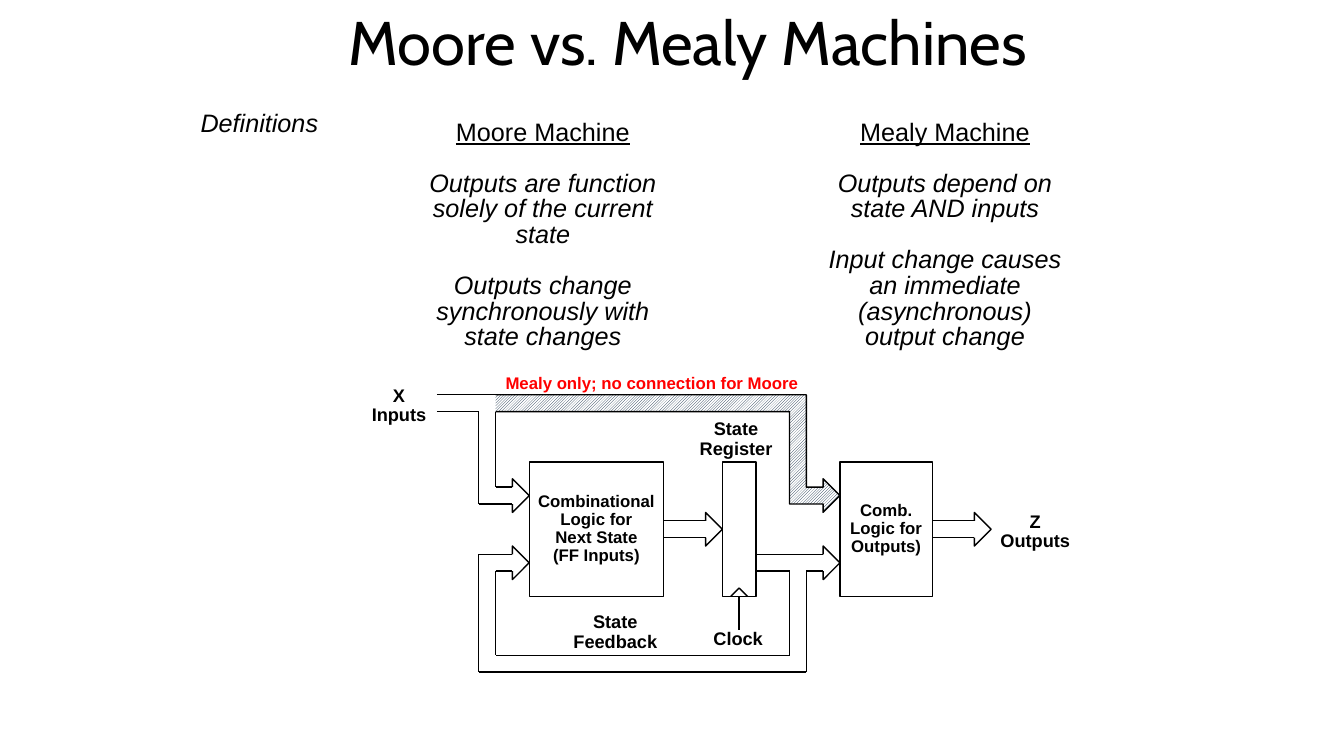
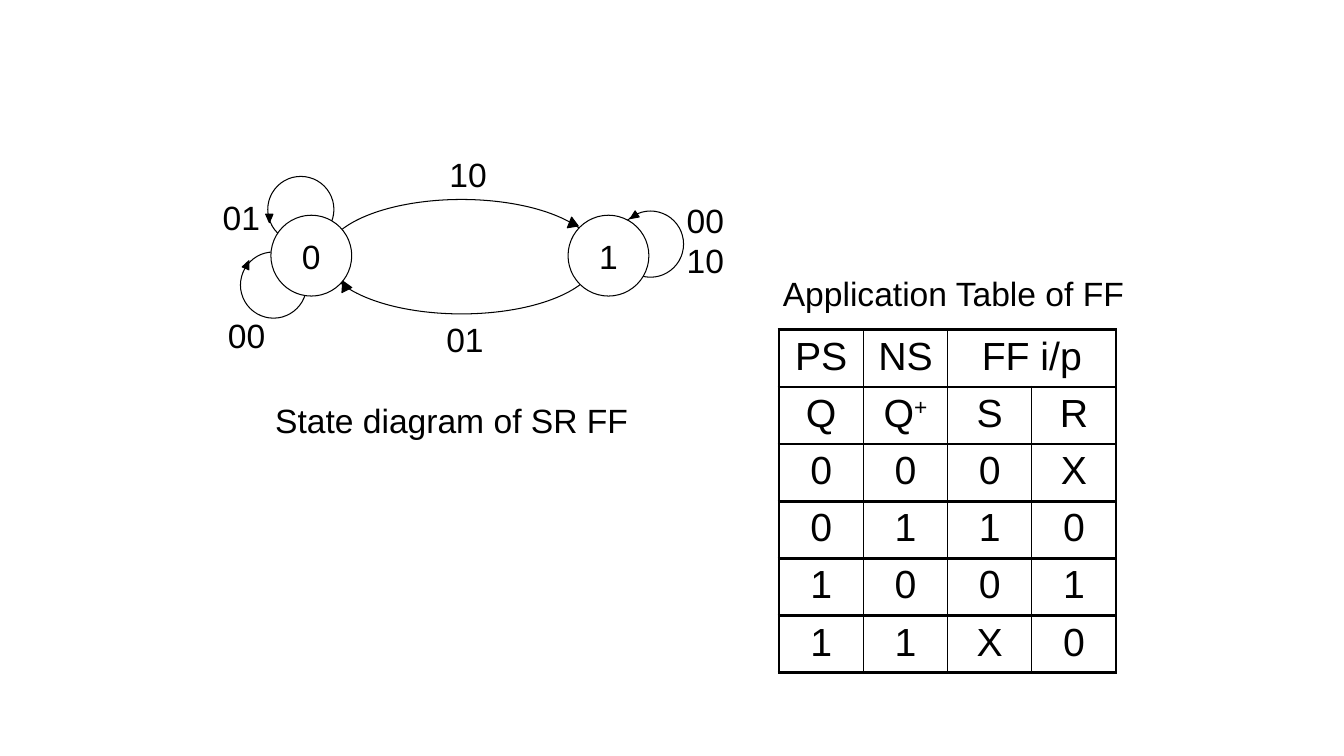
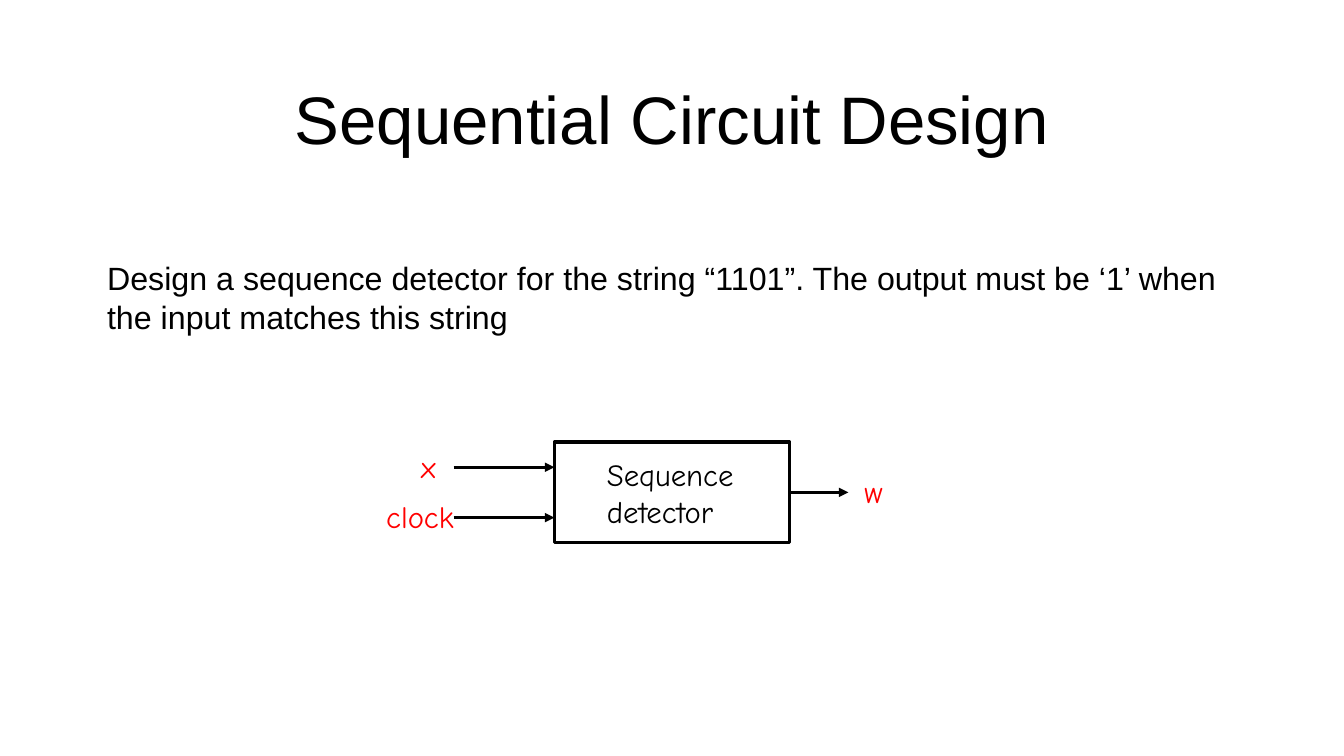
"""Builds three slides on sequential circuits and state machines."""
from itertools import pairwise

from lxml import etree
from pptx import Presentation
from pptx import util as u
from pptx.dml.color import RGBColor
from pptx.enum import dml, shapes, text
from pptx.oxml.ns import qn

PX = 9525
BLACK = RGBColor(0x00, 0x00, 0x00)
WHITE = RGBColor(0xFF, 0xFF, 0xFF)
RED = RGBColor(0xFF, 0x00, 0x00)
NAVY = RGBColor(0x0E, 0x28, 0x41)
BODY, TITLE, HAND = "Arial", "Cabin", "Comic Neue"
LEFT, CENTER = text.PP_ALIGN.LEFT, text.PP_ALIGN.CENTER
TOP, MIDDLE = text.MSO_ANCHOR.TOP, text.MSO_ANCHOR.MIDDLE
KIND = shapes.MSO_SHAPE


def px(*lengths):
    return [u.Emu(n * PX) for n in lengths]


def add_run(p, words, font=BODY, size=18, color=BLACK, bold=False,
            italic=False, underline=False, baseline=0):
    r = p.add_run()
    r.text = words
    f = r.font
    f.name, f.size, f.bold, f.italic = font, u.Pt(size), bold, italic
    f.underline = underline
    f.color.rgb = color
    if baseline:
        r._r.get_or_add_rPr().set("baseline", str(baseline * 1000))


def write(tf, words, align=LEFT, spacing=1.0, before=0, **fmt):
    """Adds one paragraph per line; before is the gap above the first."""
    for i, line in enumerate(words.split("\n")):
        p = tf.paragraphs[-1]
        if p.runs:
            p = tf.add_paragraph()
        p.alignment, p.line_spacing = align, spacing
        p.space_before = u.Pt(0 if i else before)
        add_run(p, line, **fmt)


def set_frame(tf, anchor, inset):
    tf.word_wrap, tf.vertical_anchor = True, anchor
    tf.margin_left = tf.margin_right = px(inset[0])[0]
    tf.margin_top = tf.margin_bottom = px(inset[1])[0]


def add_label(s, box, words, anchor=TOP, inset=(10, 5), **fmt):
    tf = s.shapes.add_textbox(*px(*box)).text_frame
    set_frame(tf, anchor, inset)
    write(tf, words, **fmt)
    return tf


def set_line(sp, width):
    sp.line.color.rgb = BLACK
    sp.line.width = u.Pt(width)


def add_figure(s, kind, box, fill=None, width=1, turn=0, words="", **fmt):
    sp = s.shapes.add_shape(kind, *px(*box))
    sp.shadow.inherit = False
    sp.rotation = turn
    if fill is None:
        sp.fill.background()
    else:
        sp.fill.solid()
        sp.fill.fore_color.rgb = fill
    set_line(sp, width)
    if words:
        set_frame(sp.text_frame, MIDDLE, (0, 0))
        write(sp.text_frame, words, align=CENTER, **fmt)


def add_wire(s, x, y, points, width=1, arrow=False):
    for (x1, y1), (x2, y2) in pairwise(points):
        c = s.shapes.add_connector(shapes.MSO_CONNECTOR.STRAIGHT,
                                   *px(x + x1, y + y1, x + x2, y + y2))
        set_line(c, width)
        etree.SubElement(c._element.spPr, qn("a:effectLst"))
        if arrow:
            etree.SubElement(c.line._get_or_add_ln(), qn("a:tailEnd"), type="triangle")


def add_outline(s, x, y, points):
    (x0, y0), *rest = [(x + dx, y + dy) for dx, dy in points]
    fb = s.shapes.build_freeform(x0, y0, scale=PX)
    fb.add_line_segments(rest, close=False)
    sp = fb.convert_to_shape()
    sp.shadow.inherit = False
    sp.fill.background()
    set_line(sp, 1)
    return sp


def add_definition(s, box, heading, *rules):
    fmt = dict(align=CENTER, spacing=0.85)
    tf = add_label(s, box, heading, inset=(7, 3), underline=True, **fmt)
    for rule in rules:
        write(tf, rule, before=18, italic=True, **fmt)


def add_machine(s, x, y):
    """Draws the block diagram of a state machine."""
    bold = dict(bold=True, spacing=0.9)
    for cx, top, words in ((349, 48, "State\nRegister"), (351, 248, "Clock"),
                           (234, 232, "State\nFeedback"), (28, 16, "X\nInputs"),
                           (634, 136, "Z\nOutputs")):
        add_label(s, (x + cx - 48, y + top, 96, 38), words, inset=(0, 0),
                  align=CENTER, size=13, **bold)
    for left, width, words in (
            (152, 128, "Combinational\nLogic for\nNext State\n(FF Inputs)"),
            (336, 32, ""), (448, 88, "Comb.\nLogic for\nOutputs)")):
        add_figure(s, KIND.RECTANGLE, (x + left, y + 88, width, 128),
                   words=words, size=12, **bold)
    for tip in ((152, 120), (152, 184), (336, 152), (448, 184), (592, 152)):
        add_outline(s, x + tip[0], y + tip[1],
                    [(-16, 8), (-16, 16), (0, 0), (-16, -16), (-16, -8)])
    for points in (
            [(344, 216), (352, 208), (360, 216)],
            [(352, 216), (352, 248)],
            [(280, 144), (320, 144)], [(280, 160), (320, 160)],
            [(536, 144), (576, 144)], [(536, 160), (576, 160)],
            [(368, 176), (432, 176)],
            [(432, 192), (416, 192), (416, 288), (104, 288), (104, 176), (136, 176)],
            [(368, 192), (400, 192), (400, 272), (120, 272), (120, 192), (136, 192)],
            [(64, 24), (120, 24)],
            [(64, 40), (104, 40), (104, 128), (136, 128)],
            [(120, 40), (120, 112), (136, 112)]):
        add_wire(s, x, y, points)
    bypass = add_outline(s, x, y, [
        (120, 24), (416, 24), (416, 112), (432, 112), (432, 104), (448, 120),
        (432, 136), (432, 128), (400, 128), (400, 40), (120, 40)])
    bypass.fill.patterned()
    bypass.fill.pattern = dml.MSO_PATTERN.LIGHT_UPWARD_DIAGONAL
    bypass.fill.fore_color.rgb, bypass.fill.back_color.rgb = NAVY, WHITE
    add_label(s, (x + 109, y, 320, 27), "Mealy only; no connection for Moore",
              MIDDLE, align=CENTER, size=12, color=RED, **bold)


def add_state_diagram(s, x, y):
    """Draws the two states, their transitions and the caption."""
    thin = dict(width=0.75)
    for left, top, w, h in ((29, 100, 63, 63), (55, 28, 63, 63),
                            (388, 61, 63, 63), (110, 50, 259, 109)):
        add_figure(s, KIND.OVAL, (x + left, y + top, w, h), WHITE, **thin)
    for left, name in ((58, "0"), (341, "1")):
        add_figure(s, KIND.OVAL, (x + left, y + 65, 77, 77), WHITE,
                   words=name, size=24, **thin)
    for left, top, w, h, turn in ((400, 62, 7, 8, 236), (53, 64, 7, 8, 180),
                                  (32, 108, 7, 8, 23.6), (341, 69, 11, 9, 112.1),
                                  (125, 129, 11, 9, 94.1)):
        add_figure(s, KIND.ISOSCELES_TRIANGLE, (x + left, y + top, w, h),
                   BLACK, turn=turn, **thin)
    for left, top, w, h, words in (
            (2, 43, 59, 48, "01"), (7, 155, 59, 48, "00"),
            (218, 2, 59, 48, "10"), (215, 159, 59, 48, "01"),
            (444, 45, 59, 87, "00\n10"),
            (52, 236, 395, 48, "State diagram of SR FF")):
        add_label(s, (x + left, y + top, w, h), words, MIDDLE, size=24)


def set_borders(cell, **widths):
    tc_pr = cell._tc.get_or_add_tcPr()
    for side, width in widths.items():
        ln = etree.SubElement(tc_pr, qn("a:ln" + side), w=str(u.Pt(width)))
        fill = etree.SubElement(ln, qn("a:solidFill"))
        etree.SubElement(fill, qn("a:srgbClr"), val=str(BLACK))


def add_application_table(s, x, y, w, h):
    """Draws the excitation table with its heading above."""
    add_label(s, (x - 26, y - 59, 384, 48), "Application Table of FF", MIDDLE,
              align=CENTER, size=24)
    rows = (("PS", "NS", "FF i/p", ""), ("Q", "Q+", "S", "R"), "000X", "0110",
            "1001", "11X0")
    table = s.shapes.add_table(len(rows), 4, *px(x, y, w, h)).table
    table.first_row = table.horz_banding = False
    for col in table.columns:
        col.width = u.Emu(w * PX // 4)
    table.cell(0, 2).merge(table.cell(0, 3))
    for i, row in enumerate(rows):
        table.rows[i].height = u.Emu(h * PX // len(rows))
        for j, words in enumerate(row):
            cell = table.cell(i, j)
            last = j + (cell.span_width if cell.is_merge_origin else 1) >= 4
            set_borders(cell, L=1 if j else 2.25, R=2.25 if last else 1,
                        T=2.25, B=2.25)
            cell.fill.background()
            if words:
                base, plus, _ = words.partition("+")
                write(cell.text_frame, base, align=CENTER, size=28)
                if plus:
                    add_run(cell.text_frame.paragraphs[0], plus, size=28, baseline=30)


def add_detector(s, x, y):
    """Draws the detector block with its inputs and output."""
    add_figure(s, KIND.RECTANGLE, (x, y, 224, 96), width=2.25)
    for start, end, level in ((-96, 0, 24), (-96, 0, 72), (224, 280, 48)):
        add_wire(s, x, y, [(start, level), (end, level)], 2.25, arrow=True)
    hand = dict(font=HAND, size=22)
    for left, top, words in ((-168, 0, "x"), (-176, 48, "clock"), (256, 24, "w")):
        add_label(s, (x + left, y + top, 96, 45), words, align=CENTER,
                  color=RED, **hand)
    add_label(s, (x + 40, y + 8, 180, 80), "Sequence\ndetector", **hand)


def machines_slide(s):
    add_label(s, (322, -26, 1104, 139), "Moore vs. Mealy Machines", MIDDLE,
              font=TITLE, size=44, spacing=0.9)
    add_label(s, (184, 104, 160, 30), "Definitions", inset=(7, 3), italic=True,
              spacing=0.85)
    add_definition(s, (377, 112, 280, 228), "Moore Machine",
                   "Outputs are function\nsolely of the current\nstate",
                   "Outputs change\nsynchronously with\nstate changes")
    add_definition(s, (741, 112, 318, 228), "Mealy Machine",
                   "Outputs depend on\nstate AND inputs",
                   "Input change causes\nan immediate (asynchronous)\noutput change")
    add_machine(s, 352, 352)


def flip_flop_slide(s):
    add_application_table(s, 742, 314, 321, 326)
    add_state_diagram(s, 200, 140)


def detector_slide(s):
    add_label(s, (208, 88, 864, 48), "Sequential Circuit Design", MIDDLE,
              align=CENTER, size=48)
    add_label(s, (92, 241, 1096, 84),
              "Design a sequence detector for the string “1101”. The output must "
              "be ‘1’ when the input matches this string", size=23)
    add_detector(s, 528, 421)


def main():
    prs = Presentation()
    prs.slide_width, prs.slide_height = px(1280, 720)
    for build in (machines_slide, flip_flop_slide, detector_slide):
        build(prs.slides.add_slide(prs.slide_layouts[6]))
    prs.save("out.pptx")


if __name__ == "__main__":
    main()
